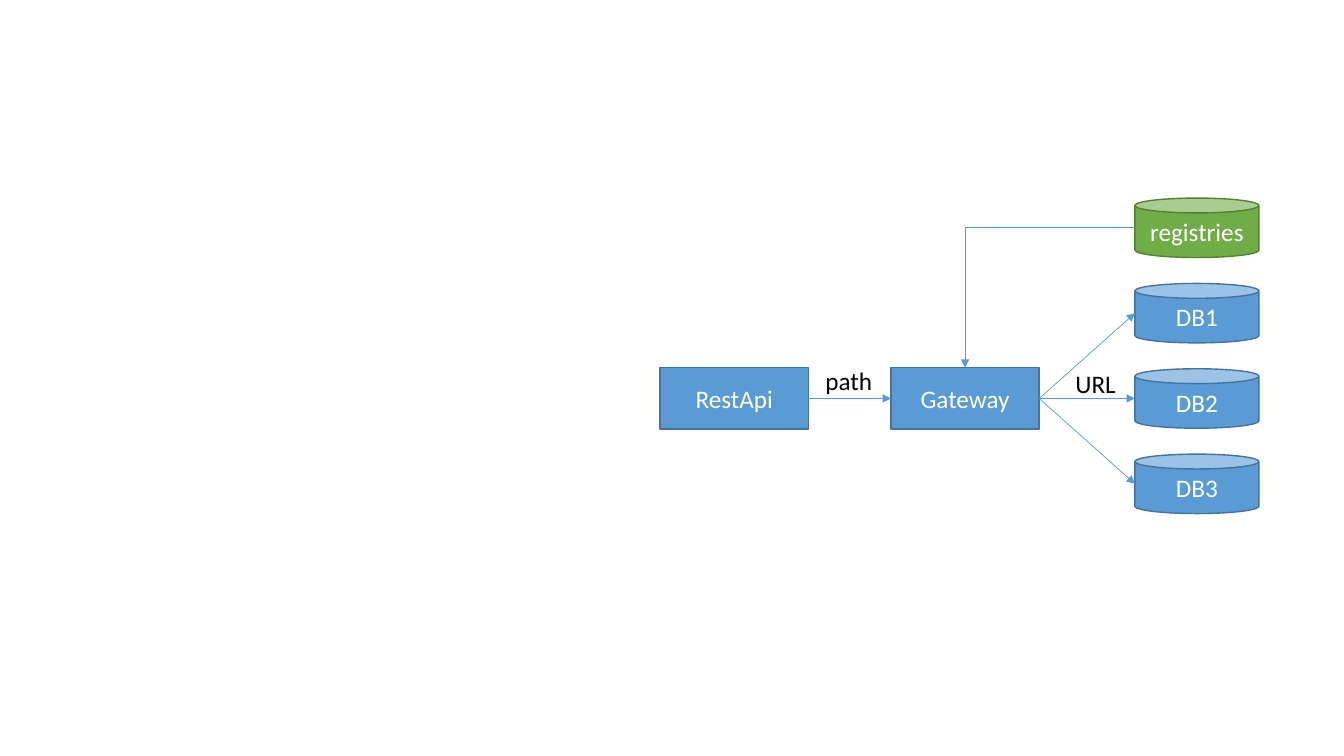
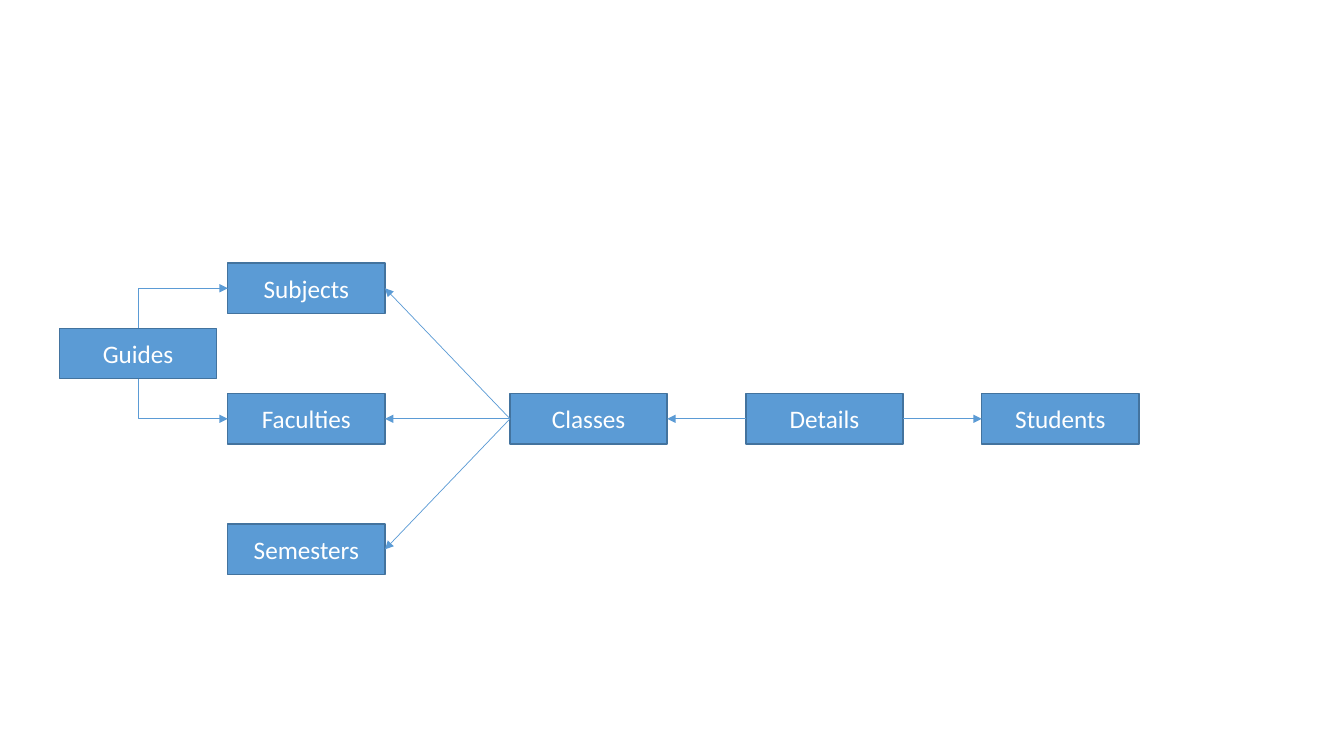
from dataclasses import dataclass

from lxml.etree import SubElement
from pptx import Presentation
from pptx.dml.color import RGBColor as RGB
from pptx.enum.shapes import MSO_CONNECTOR as LINE, MSO_SHAPE as SHAPE
from pptx.enum.text import MSO_ANCHOR as ANCHOR, MSO_AUTO_SIZE as FIT, PP_ALIGN as ALIGN
from pptx.oxml.ns import qn
from pptx.util import Inches, Pt


@dataclass(frozen=True)
class Theme:
    font: str = "Calibri"
    size: int = 18
    node_line: float = 1
    link_line: float = 0.5
    link: str = "5B9BD5"
    text: str = "000000"
    node_text: str = "FFFFFF"


@dataclass(frozen=True)
class Kind:
    shape: int
    width: float
    height: float
    fill: str = "5B9BD5"
    line: str = "43739E"


THEME = Theme()
SERVICE = Kind(SHAPE.RECTANGLE, 1.47, 0.61)
DATABASE = Kind(SHAPE.CAN, 1.23, 0.59)
REGISTRY = Kind(SHAPE.CAN, 1.23, 0.59, "70AD47", "538035")
ENTITY = Kind(SHAPE.RECTANGLE, 1.56, 0.5)

SIDES = ("top", "left", "bottom", "right")
CAN_SITES = {"top": 1, "left": 2, "bottom": 3}

SLIDES = [
    dict(
        first_row=2.26, last_row=4.8, rows=4,
        columns=(6.55, 8.84, 11.26),
        nodes=[
            ("RestApi", SERVICE, 0, 2),
            ("Gateway", SERVICE, 1, 2),
            ("registries", REGISTRY, 2, 0),
            ("DB1", DATABASE, 2, 1),
            ("DB2", DATABASE, 2, 2),
            ("DB3", DATABASE, 2, 3),
        ],
        links=[
            ("registries", "left", "Gateway", "top"),
            ("Gateway", "right", "DB1", "left"),
            ("Gateway", "right", "DB2", "left"),
            ("Gateway", "right", "DB3", "left"),
            ("RestApi", "right", "Gateway", "left"),
        ],
        labels=[("URL", 10.57, 3.6, 0.61), ("path", 8.09, 3.58, 0.67)],
    ),
    dict(
        first_row=2.86, last_row=5.45, rows=3,
        columns=(0.59, 2.26, 5.06, 7.4, 9.74),
        nodes=[
            ("Guides", ENTITY, 0, 0.5),
            ("Subjects", ENTITY, 1, 0),
            ("Faculties", ENTITY, 1, 1),
            ("Semesters", ENTITY, 1, 2),
            ("Classes", ENTITY, 2, 1),
            ("Details", ENTITY, 3, 1),
            ("Students", ENTITY, 4, 1),
        ],
        links=[
            ("Classes", "left", "Subjects", "right"),
            ("Classes", "left", "Faculties", "right"),
            ("Classes", "left", "Semesters", "right"),
            ("Details", "left", "Classes", "right"),
            ("Details", "right", "Students", "left"),
            ("Guides", "bottom", "Faculties", "left"),
            ("Guides", "top", "Subjects", "left"),
        ],
        labels=[],
    ),
]


def add_run(tf, text, color):
    p = tf.paragraphs[0]
    r = p.add_run()
    r.text = text
    r.font.name = THEME.font
    r.font.size = Pt(THEME.size)
    r.font.color.rgb = RGB.from_string(color)
    return p


def add_node(s, text, kind, left, middle):
    sp = s.shapes.add_shape(kind.shape, Inches(left), Inches(middle - kind.height / 2),
                            Inches(kind.width), Inches(kind.height))
    sp.shadow.inherit = False
    sp.fill.solid()
    sp.fill.fore_color.rgb = RGB.from_string(kind.fill)
    sp.line.color.rgb = RGB.from_string(kind.line)
    sp.line.width = Pt(THEME.node_line)
    sp.text_frame.vertical_anchor = ANCHOR.MIDDLE
    add_run(sp.text_frame, text, THEME.node_text).alignment = ALIGN.CENTER
    return sp


def add_label(s, text, left, top, width):
    sp = s.shapes.add_textbox(Inches(left), Inches(top), Inches(width), Inches(0.4))
    tf = sp.text_frame
    tf.word_wrap = False
    tf.auto_size = FIT.SHAPE_TO_FIT_TEXT
    add_run(tf, text, THEME.text)


def side_point(sp, side):
    x = {"left": sp.left, "right": sp.left + sp.width}.get(side, sp.left + sp.width // 2)
    y = {"top": sp.top, "bottom": sp.top + sp.height}.get(side, sp.top + sp.height // 2)
    return x, y


def site(sp, side):
    return CAN_SITES[side] if sp.auto_shape_type == SHAPE.CAN else SIDES.index(side)


def turn_corner(c, start, end, vertical_first):
    c._element.spPr.find(qn("a:prstGeom")).set("prst", "bentConnector2")
    if not vertical_first:
        return
    (x1, y1), (x2, y2) = start, end
    width, height = abs(y2 - y1), abs(x2 - x1)
    c.left, c.top = (x1 + x2 - width) // 2, (y1 + y2 - height) // 2
    c.width, c.height = width, height
    xfrm = c._element.spPr.find(qn("a:xfrm"))
    xfrm.set("rot", str(270 * 60000))
    xfrm.set("flipH", str(int(y2 > y1)))
    xfrm.set("flipV", str(int(x2 < x1)))


def add_link(s, source, source_side, target, target_side):
    start, end = side_point(source, source_side), side_point(target, target_side)
    vertical = [side in ("top", "bottom") for side in (source_side, target_side)]
    bent = vertical[0] != vertical[1]
    c = s.shapes.add_connector(LINE.ELBOW if bent else LINE.STRAIGHT, *start, *end)
    c.begin_connect(source, site(source, source_side))
    c.end_connect(target, site(target, target_side))
    c.begin_x, c.begin_y = start
    c.end_x, c.end_y = end
    if bent:
        turn_corner(c, start, end, vertical[0])
    c.line.color.rgb = RGB.from_string(THEME.link)
    c.line.width = Pt(THEME.link_line)
    SubElement(c.line._get_or_add_ln(), qn("a:tailEnd"), type="triangle")
    SubElement(c._element.spPr, qn("a:effectLst"))


def build_slide(prs, diagram):
    s = prs.slides.add_slide(prs.slide_layouts[6])
    pitch = (diagram["last_row"] - diagram["first_row"]) / (diagram["rows"] - 1)
    nodes = {}
    for text, kind, column, row in diagram["nodes"]:
        middle = diagram["first_row"] + row * pitch
        nodes[text] = add_node(s, text, kind, diagram["columns"][column], middle)
    for source, source_side, target, target_side in diagram["links"]:
        add_link(s, nodes[source], source_side, nodes[target], target_side)
    for label in diagram["labels"]:
        add_label(s, *label)


def main():
    prs = Presentation()
    prs.slide_width, prs.slide_height = Inches(40 / 3), Inches(7.5)
    for diagram in SLIDES:
        build_slide(prs, diagram)
    prs.save("out.pptx")


if __name__ == "__main__":
    main()
